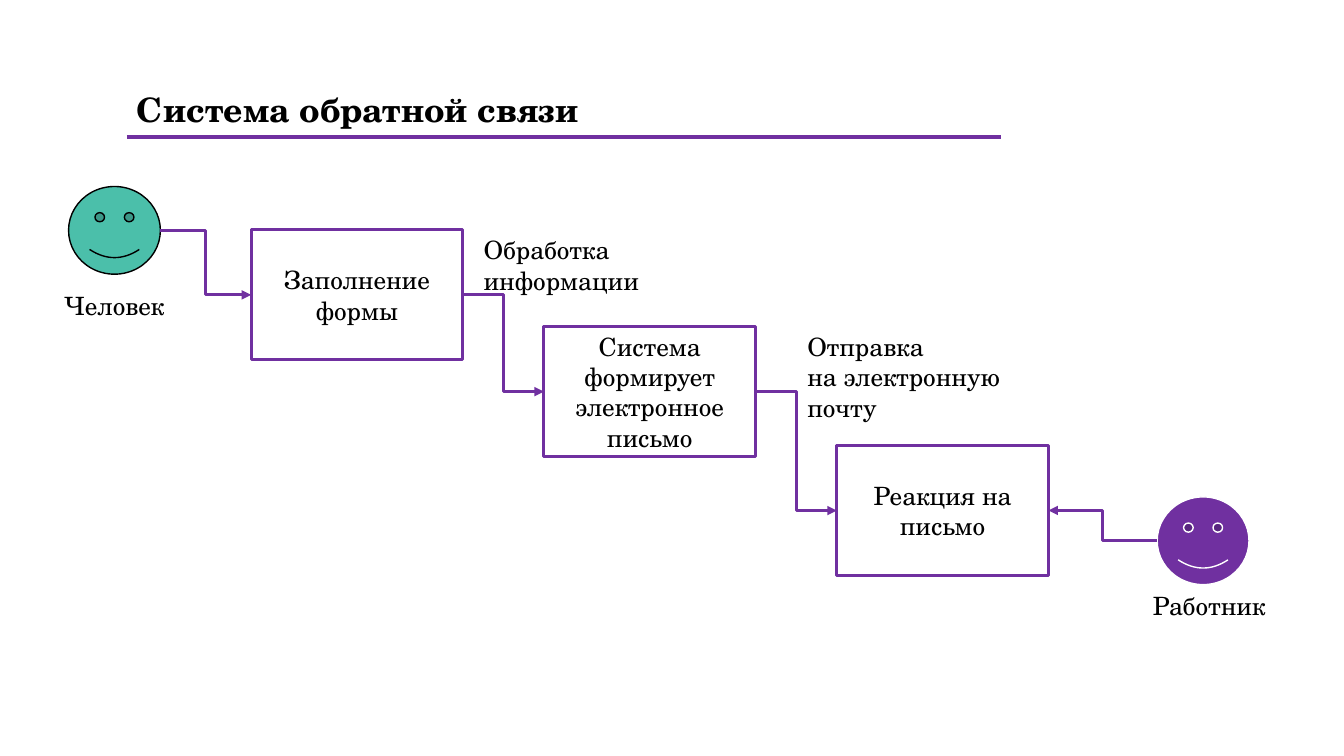
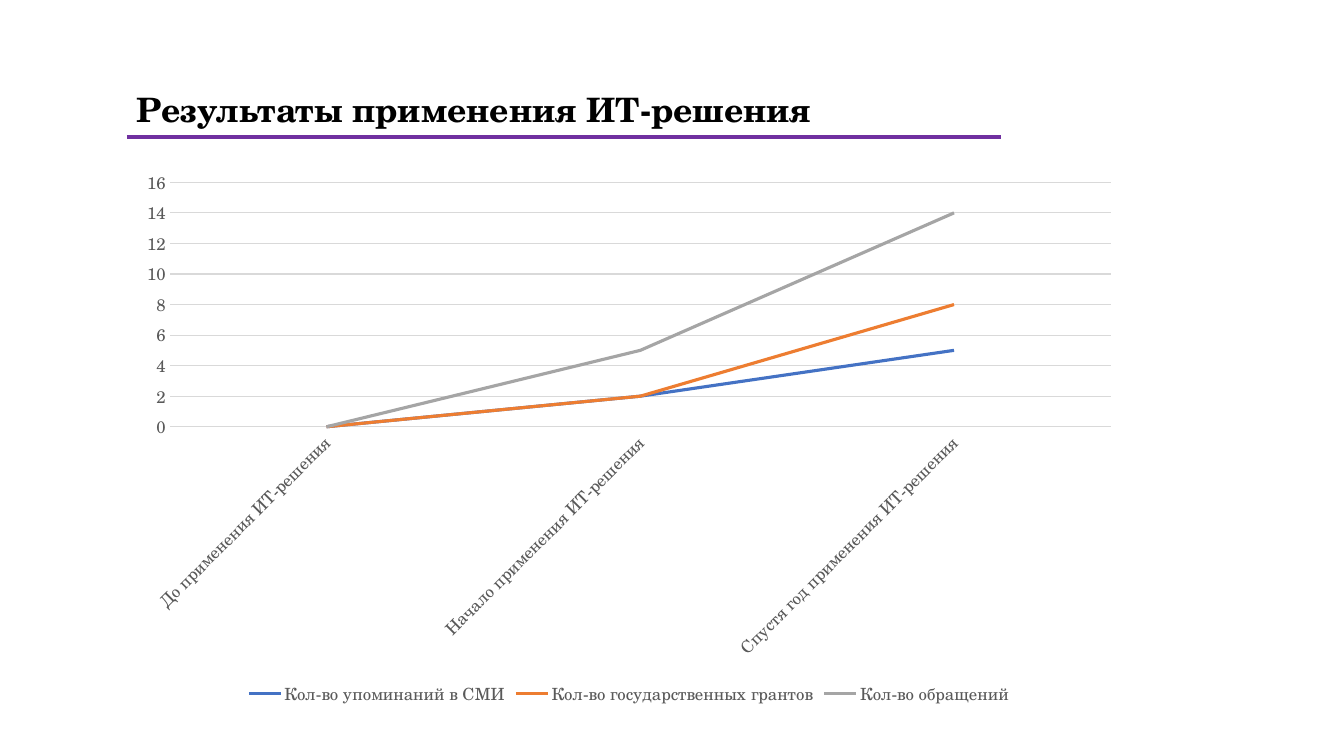
from dataclasses import dataclass

from lxml import etree
from pptx import Presentation
from pptx.chart.data import CategoryChartData
from pptx.dml.color import RGBColor
from pptx.enum.chart import XL_CHART_TYPE, XL_LEGEND_POSITION, XL_TICK_MARK
from pptx.enum.shapes import MSO_CONNECTOR, MSO_SHAPE
from pptx.enum.text import MSO_ANCHOR, MSO_AUTO_SIZE, PP_ALIGN
from pptx.oxml.ns import qn
from pptx.util import Inches, Pt

RECT, SMILEY = MSO_SHAPE.RECTANGLE, MSO_SHAPE.SMILEY_FACE
STRAIGHT, ELBOW = MSO_CONNECTOR.STRAIGHT, MSO_CONNECTOR.ELBOW
LINE_STACKED = XL_CHART_TYPE.LINE_STACKED
BOTTOM, NO_TICK = XL_LEGEND_POSITION.BOTTOM, XL_TICK_MARK.NONE
MIDDLE, CENTER = MSO_ANCHOR.MIDDLE, PP_ALIGN.CENTER
GROW = MSO_AUTO_SIZE.SHAPE_TO_FIT_TEXT

WIDTH, HEIGHT = Inches(13.33), Inches(7.5)
FONT = "TeX Gyre Schola"
COLORS = {
    "accent": "7030A0", "teal": "4BBFAA", "text": "000000", "white": "FFFFFF",
    "axis": "595959", "grid": "D9D9D9",
    "media": "4472C4", "grants": "ED7D31", "requests": "A5A5A5",
}
BODY_SIZE, TITLE_SIZE, CHART_SIZE = 18, 24, 12
RULE_WIDTH = 2.25
LEFT_SIDE, RIGHT_SIDE = 1, 3


@dataclass(frozen=True)
class Area:
    """Rectangle in percent of the slide's width and height."""
    left: float
    top: float
    width: float
    height: float

    def emu(self) -> tuple[int, int, int, int]:
        """Return left, top, width and height in EMU."""
        return (share(self.left, WIDTH), share(self.top, HEIGHT),
                share(self.width, WIDTH), share(self.height, HEIGHT))


@dataclass(frozen=True)
class Step:
    """One box of the process."""
    text: str
    top: float


@dataclass(frozen=True)
class Person:
    """A face with its colours."""
    area: Area
    fill: str
    line: str


@dataclass(frozen=True)
class Label:
    """A free caption, one paragraph a line."""
    lines: tuple[str, ...]
    area: Area


@dataclass(frozen=True)
class Series:
    """One chart line."""
    name: str
    values: tuple[int, ...]
    color: str


TITLE_AREA = Area(9.45, 11.07, 71.03, 6.67)
RULE_TOP, RULE_RIGHT = 18.13, 74.48
CHART_AREA = Area(9.45, 21.07, 74.7, 72.8)

STEP_LEFT, STEP_PITCH, STEP_WIDTH, STEP_HEIGHT = 18.68, 21.79, 15.75, 17.2
STEPS = (
    Step("Заполнение формы", 30.4),
    Step("Система формирует электронное письмо", 43.2),
    Step("Реакция на письмо", 58.93),
)
FACE_WIDTH, FACE_HEIGHT = 6.83, 11.6
WORKER = Person(Area(86.1, 65.73, FACE_WIDTH, FACE_HEIGHT), "accent", "white")
VISITOR = Person(Area(5.1, 24.67, FACE_WIDTH, FACE_HEIGHT), "teal", "text")
LABELS = (
    Label(("Человек",), Area(4.05, 37.73, 8.93, 5.33)),
    Label(("Работник",), Area(85.05, 77.47, 9.9, 5.33)),
    Label(("Обработка", "информации"), Area(35.25, 30.4, 13.13, 9.47)),
    Label(("Отправка", "на электронную", "почту"), Area(59.33, 43.2, 15.83, 13.47)),
)
CATEGORIES = (
    "До применения ИТ-решения",
    "Начало применения ИТ-решения",
    "Спустя год применения ИТ-решения",
)
SERIES = (
    Series("Кол-во упоминаний в СМИ", (0, 2, 5), "media"),
    Series("Кол-во государственных грантов", (0, 0, 3), "grants"),
    Series("Кол-во обращений", (0, 3, 6), "requests"),
)


def share(percent: float, full: int) -> int:
    """Return a percentage of a length."""
    return round(full * percent / 100)


def rgb(name: str) -> RGBColor:
    """Look a colour up by name."""
    return RGBColor.from_string(COLORS[name])


def style_line(line, color: str, width: float) -> None:
    """Set a line's colour and width."""
    line.color.rgb = rgb(color)
    line.width = Pt(width)


def style_font(font, size: float, color: str, bold: bool = False) -> None:
    """Set the font, its size, colour and weight."""
    font.name = FONT
    font.size = Pt(size)
    font.bold = bold
    font.color.rgb = rgb(color)


def write(tf, lines: tuple[str, ...], size: float = BODY_SIZE,
          bold: bool = False, align=None) -> None:
    """Write one paragraph for each line."""
    for i, text in enumerate(lines):
        p = tf.add_paragraph() if i else tf.paragraphs[0]
        p.alignment = align
        r = p.add_run()
        r.text = text
        style_font(r.font, size, "text", bold)


def add_text(s, lines: tuple[str, ...], area: Area, wrap: bool = False,
             size: float = BODY_SIZE, bold: bool = False) -> None:
    """Add a text box."""
    tf = s.shapes.add_textbox(*area.emu()).text_frame
    tf.word_wrap = wrap
    tf.auto_size = GROW
    write(tf, lines, size, bold)


def add_shape(s, kind, area: Area, fill: str, line: str, width: float):
    """Add a filled and outlined preset shape."""
    sp = s.shapes.add_shape(kind, *area.emu())
    sp.shadow.inherit = False
    sp.fill.solid()
    sp.fill.fore_color.rgb = rgb(fill)
    style_line(sp.line, line, width)
    return sp


def add_line(s, kind, start: tuple[int, int] = (0, 0),
             end: tuple[int, int] = (0, 0), arrow: bool = False):
    """Add an accent line, with an arrowhead if asked."""
    cxn = s.shapes.add_connector(kind, *start, *end)
    style_line(cxn.line, "accent", RULE_WIDTH)
    if arrow:
        etree.SubElement(cxn.line._get_or_add_ln(), qn("a:tailEnd"), type="triangle")
    etree.SubElement(cxn._element.spPr, qn("a:effectLst"))
    return cxn


def add_slide(prs, title: str):
    """Add a blank slide with the shared title and rule."""
    s = prs.slides.add_slide(prs.slide_layouts[6])
    add_text(s, (title,), TITLE_AREA, True, TITLE_SIZE, True)
    y = share(RULE_TOP, HEIGHT)
    add_line(s, STRAIGHT, (share(TITLE_AREA.left, WIDTH), y),
             (share(RULE_RIGHT, WIDTH), y))
    return s


def add_step(s, index: int, step: Step):
    """Add one process box in its column."""
    area = Area(STEP_LEFT + index * STEP_PITCH, step.top, STEP_WIDTH, STEP_HEIGHT)
    sp = add_shape(s, RECT, area, "white", "accent", RULE_WIDTH)
    tf = sp.text_frame
    tf.word_wrap = True
    tf.vertical_anchor = MIDDLE
    write(tf, (step.text,), align=CENTER)
    return sp


def add_person(s, person: Person):
    """Add a smiling face."""
    return add_shape(s, SMILEY, person.area, person.fill, person.line, 1)


def build_feedback(prs) -> None:
    """Build the feedback process slide."""
    s = add_slide(prs, "Система обратной связи")
    boxes = [add_step(s, i, step) for i, step in enumerate(STEPS)]
    worker, visitor = add_person(s, WORKER), add_person(s, VISITOR)

    visitor_side = (visitor.left + visitor.width, visitor.top + visitor.height // 2)
    worker_side = (worker.left, worker.top + worker.height // 2)
    for start, box, side in ((visitor_side, boxes[0], LEFT_SIDE),
                             (worker_side, boxes[-1], RIGHT_SIDE)):
        add_line(s, ELBOW, start, start, arrow=True).end_connect(box, side)
    for source, target in zip(boxes, boxes[1:]):
        cxn = add_line(s, ELBOW, arrow=True)
        cxn.begin_connect(source, RIGHT_SIDE)
        cxn.end_connect(target, LEFT_SIDE)
    for label in LABELS:
        add_text(s, label.lines, label.area)


def build_results(prs) -> None:
    """Build the results chart slide."""
    s = add_slide(prs, "Результаты применения ИТ-решения")
    data = CategoryChartData()
    data.categories = CATEGORIES
    for series in SERIES:
        data.add_series(series.name, series.values)
    chart = s.shapes.add_chart(LINE_STACKED, *CHART_AREA.emu(), data).chart
    style_font(chart.font, CHART_SIZE, "axis")
    chart.has_title = False
    chart.has_legend = True
    chart.legend.position = BOTTOM
    chart.legend.include_in_layout = False
    style_font(chart.legend.font, CHART_SIZE, "axis")

    plot = chart.plots[0]
    plot.vary_by_categories = False
    for line, series in zip(plot.series, SERIES):
        line.smooth = False
        style_line(line.format.line, series.color, RULE_WIDTH)

    cat, val = chart.category_axis, chart.value_axis
    for axis in (cat, val):
        axis.major_tick_mark = axis.minor_tick_mark = NO_TICK
        style_font(axis.tick_labels.font, CHART_SIZE, "axis")
    style_line(cat.format.line, "grid", 0.75)
    cat._element.find(qn("c:txPr")).find(qn("a:bodyPr")).set("rot", "-2700000")
    val.minimum_scale, val.maximum_scale, val.major_unit = 0, 16, 2
    val.format.line.fill.background()
    val.has_major_gridlines = True
    style_line(val.major_gridlines.format.line, "grid", 0.75)


def main() -> None:
    """Build and save the presentation."""
    prs = Presentation()
    prs.slide_width, prs.slide_height = WIDTH, HEIGHT
    build_feedback(prs)
    build_results(prs)
    prs.save("out.pptx")


if __name__ == "__main__":
    main()
